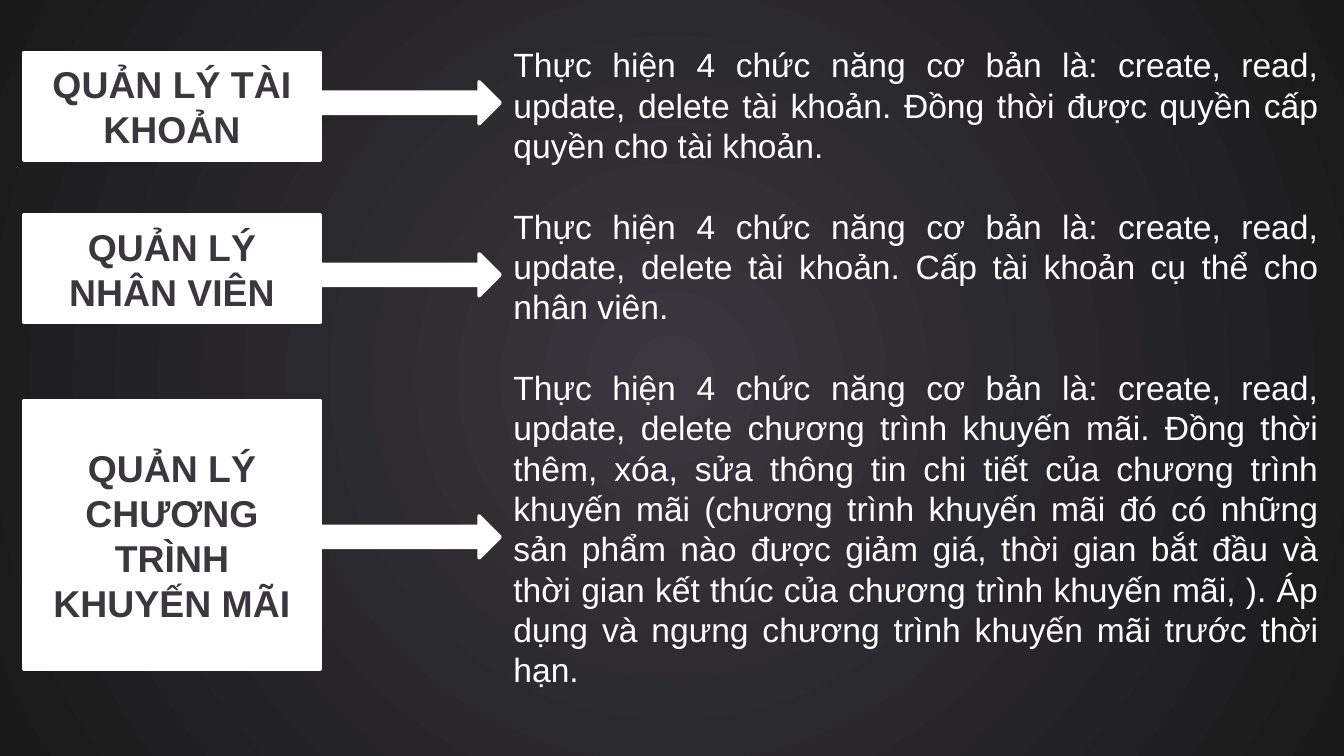
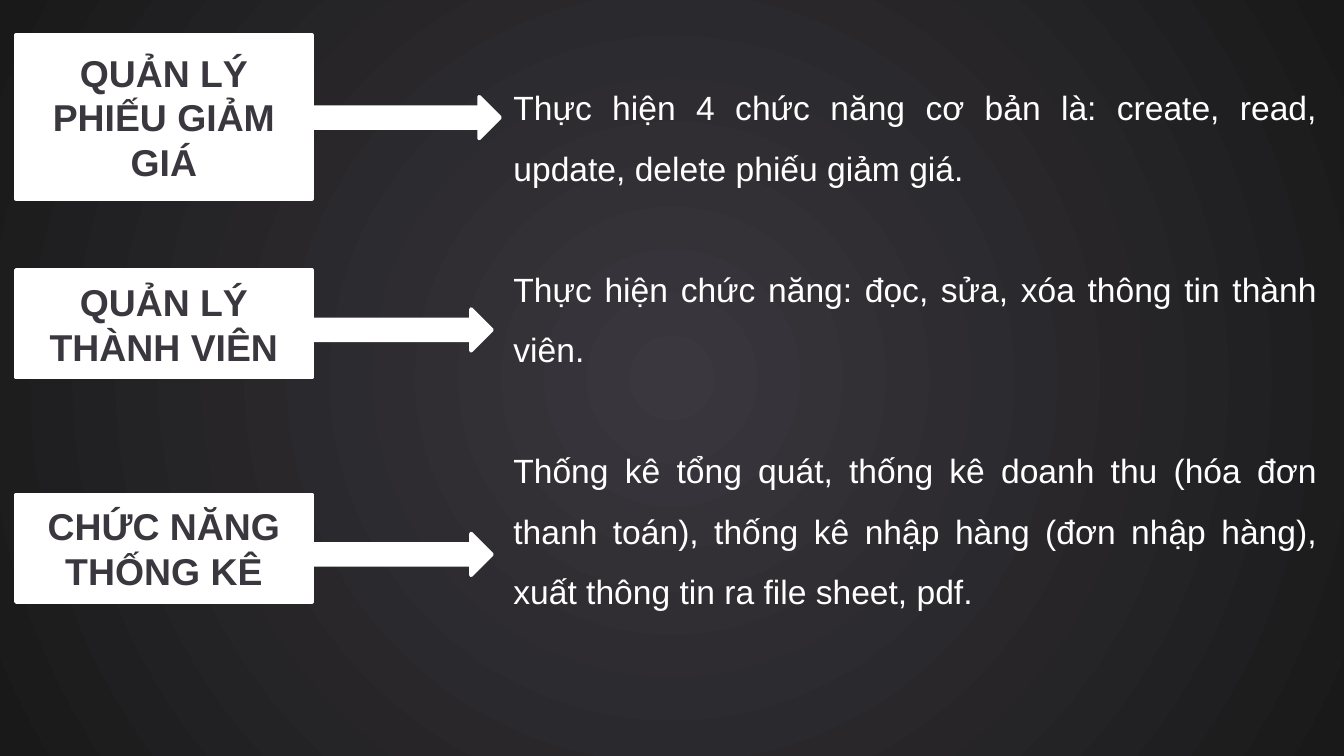
from lxml.etree import SubElement
from pptx import Presentation
from pptx.dml.color import RGBColor
from pptx.enum.shapes import MSO_SHAPE
from pptx.enum.text import MSO_ANCHOR, MSO_AUTO_SIZE, PP_ALIGN
from pptx.oxml.ns import qn
from pptx.util import Inches, Pt

WHITE = RGBColor(0xFF, 0xFF, 0xFF)
CHARCOAL = RGBColor(0x3A, 0x37, 0x3E)
NEAR_BLACK = RGBColor(0x19, 0x19, 0x19)
FONT = "Arial"
COLUMNS, ROWS = 100, 56.25
BOX_WIDTH = 22
ARROW_WIDTH, ARROW_HEIGHT = 13.9, 3.1
TEXT_LEFT = 37.2

SLIDES = [
    dict(
        body=dict(top=2.8, width=61.9, height=49.5, line_spacing=1, gap=21.6),
        box_left=1.8,
        features=[
            ("QUẢN LÝ TÀI KHOẢN", 3.9, 8, 23.3, 6.1,
             "Thực hiện 4 chức năng cơ bản là: create, read, update, delete tài khoản. "
             "Đồng thời được quyền cấp quyền cho tài khoản."),
            ("QUẢN LÝ NHÂN VIÊN", 16, 8, 23.3, 18.9,
             "Thực hiện 4 chức năng cơ bản là: create, read, update, delete tài khoản. "
             "Cấp tài khoản cụ thể cho nhân viên."),
            ("QUẢN LÝ CHƯƠNG TRÌNH KHUYẾN MÃI", 29.8, 20, 23.3, 38.4,
             "Thực hiện 4 chức năng cơ bản là: create, read, update, delete chương trình "
             "khuyến mãi. Đồng thời thêm, xóa, sửa thông tin chi tiết của chương trình "
             "khuyến mãi (chương trình khuyến mãi đó có những sản phẩm nào được giảm giá, "
             "thời gian bắt đầu và thời gian kết thúc của chương trình khuyến mãi, ). "
             "Áp dụng và ngưng chương trình khuyến mãi trước thời hạn."),
        ],
    ),
    dict(
        body=dict(top=4.5, width=61.8, height=41.9, line_spacing=1.5, gap=32.4),
        box_left=1.2,
        features=[
            ("QUẢN LÝ PHIẾU GIẢM GIÁ", 2.6, 12.2, 23.3, 7.2,
             "Thực hiện 4 chức năng cơ bản là: create, read, update, delete phiếu giảm giá."),
            ("QUẢN LÝ THÀNH VIÊN", 20.1, 8, 22.7, 23,
             "Thực hiện chức năng: đọc, sửa, xóa thông tin thành viên."),
            ("CHỨC NĂNG THỐNG KÊ", 36.8, 8, 22.7, 39.7,
             "Thống kê tổng quát, thống kê doanh thu (hóa đơn thanh toán), thống kê nhập "
             "hàng (đơn nhập hàng), xuất thông tin ra file sheet, pdf."),
        ],
    ),
]


def write(p, text, size=18, color=WHITE, bold=False, align=PP_ALIGN.JUSTIFY,
          line_spacing=1, before=0, after=0):
    pPr = p._p.get_or_add_pPr()
    pPr.set("marL", "0")
    pPr.set("indent", "0")
    SubElement(pPr, qn("a:buNone"))
    p.alignment = align
    p.line_spacing = line_spacing
    p.space_before = Pt(before)
    p.space_after = Pt(after)
    r = p.add_run()
    r.text = text
    r.font.name = FONT
    r.font.size = Pt(size)
    r.font.bold = bold
    r.font.color.rgb = color


class Deck:
    def __init__(self):
        self.prs = Presentation()
        self.prs.slide_width = Inches(10)
        self.prs.slide_height = Inches(5.625)
        self.s = None
        self.paint_background()

    def paint_background(self):
        master = self.prs.slide_master
        fill = master.background.fill
        fill.gradient()
        for stop, color in zip(fill.gradient_stops, (CHARCOAL, NEAR_BLACK)):
            stop.color.rgb = color
        grad = master.element.find(".//" + qn("a:gradFill"))
        grad.remove(grad.find(qn("a:lin")))
        circle = SubElement(grad, qn("a:path"), {"path": "circle"})
        SubElement(circle, qn("a:fillToRect"), {side: "50000" for side in "ltrb"})

    def new_slide(self):
        self.s = self.prs.slides.add_slide(self.prs.slide_layouts[1])
        title = self.s.shapes.title.element
        title.getparent().remove(title)

    def grid(self, left, top, width, height):
        col = self.prs.slide_width / COLUMNS
        row = self.prs.slide_height / ROWS
        return [round(v) for v in (left * col, top * row, width * col, height * row)]

    def body(self, texts, top, width, height, line_spacing, gap):
        sp = self.s.placeholders[1]
        sp.left, sp.top, sp.width, sp.height = self.grid(TEXT_LEFT, top, width, height)
        tf = sp.text_frame
        tf.word_wrap = True
        tf.auto_size = MSO_AUTO_SIZE.SHAPE_TO_FIT_TEXT
        tf.vertical_anchor = MSO_ANCHOR.TOP
        for i, text in enumerate(texts):
            p = tf.add_paragraph() if i else tf.paragraphs[0]
            write(p, text, line_spacing=line_spacing, before=gap if i else 0,
                  after=8 if i == len(texts) - 1 else 0)

    def shape(self, kind, *cells):
        sp = self.s.shapes.add_shape(kind, *self.grid(*cells))
        sp.shadow.inherit = False
        sp.fill.solid()
        sp.fill.fore_color.rgb = WHITE
        sp.line.color.rgb = WHITE
        sp.line.width = Pt(2)
        return sp

    def box(self, text, left, top, height):
        tf = self.shape(MSO_SHAPE.RECTANGLE, left, top, BOX_WIDTH, height).text_frame
        tf.word_wrap = True
        tf.vertical_anchor = MSO_ANCHOR.MIDDLE
        write(tf.paragraphs[0], text, size=20, color=CHARCOAL, bold=True,
              align=PP_ALIGN.CENTER)

    def arrow(self, left, top):
        self.shape(MSO_SHAPE.RIGHT_ARROW, left, top, ARROW_WIDTH, ARROW_HEIGHT)


def main():
    deck = Deck()
    for slide in SLIDES:
        deck.new_slide()
        deck.body([feature[-1] for feature in slide["features"]], **slide["body"])
        for label, top, height, arrow_left, arrow_top, _ in slide["features"]:
            deck.box(label, slide["box_left"], top, height)
            deck.arrow(arrow_left, arrow_top)
    deck.prs.save("out.pptx")


if __name__ == "__main__":
    main()
